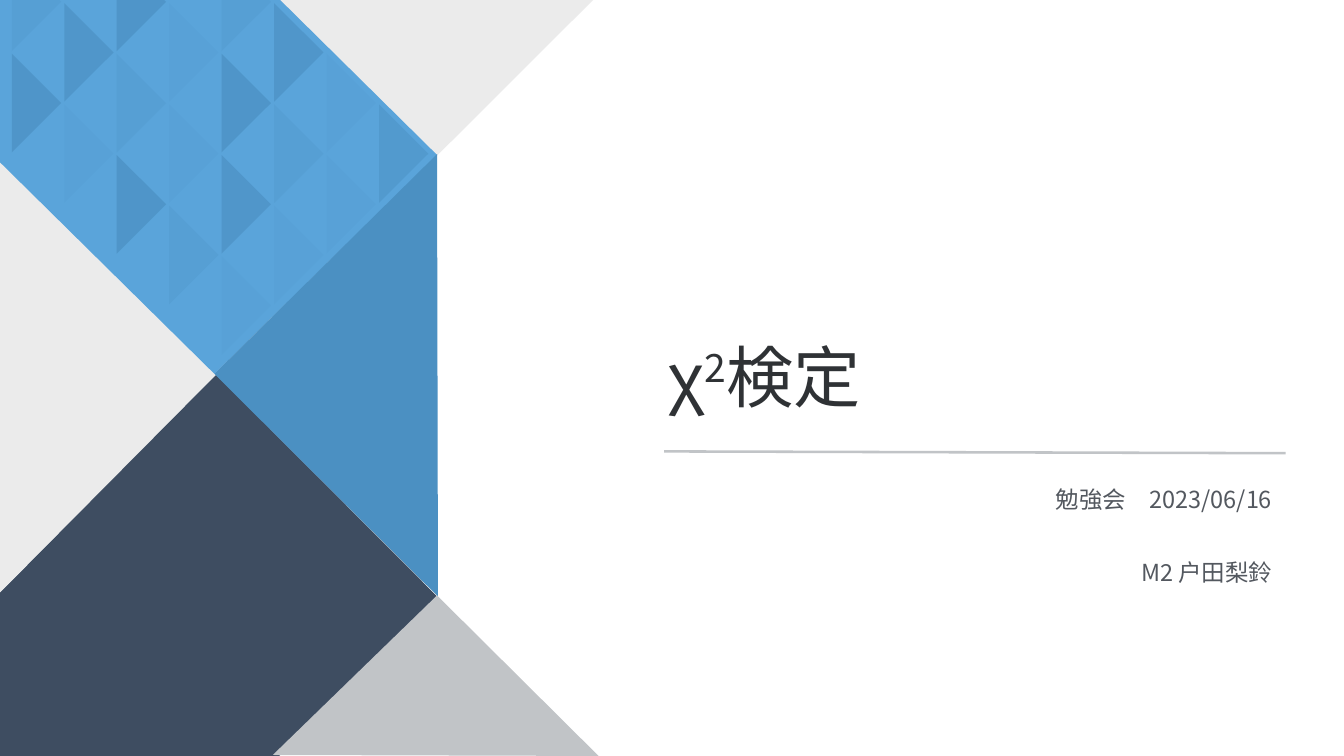
from pptx import Presentation
from pptx.dml.color import RGBColor
from pptx.enum.shapes import MSO_CONNECTOR
from pptx.enum.text import MSO_ANCHOR, MSO_AUTO_SIZE, PP_ALIGN
from pptx.oxml.ns import qn
from pptx.util import Inches, Pt
from lxml import etree

STRAIGHT = MSO_CONNECTOR.STRAIGHT
MIDDLE = MSO_ANCHOR.MIDDLE
GROW, FIXED = MSO_AUTO_SIZE.SHAPE_TO_FIT_TEXT, MSO_AUTO_SIZE.NONE
LEFT, RIGHT = PP_ALIGN.LEFT, PP_ALIGN.RIGHT
FONT = "Noto Sans CJK JP"
COLORS = {
    "pale": "EBEBEB", "sky": "5AA4DA", "navy": "3E4D61", "blue": "4B90C2",
    "silver": "C1C4C7", "title": "2F3235", "subtitle": "53585F",
}

presentation = Presentation()
presentation.slide_width = Inches(14.73)
presentation.slide_height = Inches(8.29)
slide = presentation.slides.add_slide(presentation.slide_layouts[6])


def add_polygon(points, color, opacity=100):
    corners = [(Inches(x), Inches(y)) for x, y in points]
    builder = slide.shapes.build_freeform(*corners[0], scale=1.0)
    builder.add_line_segments(corners[1:], close=True)
    shape = builder.convert_to_shape()
    shape.shadow.inherit = False
    shape.line.fill.background()
    shape.fill.solid()
    shape.fill.fore_color.rgb = RGBColor.from_string(COLORS[color])
    if opacity < 100:
        fill_color = shape.fill._xPr.find(qn("a:solidFill"))[0]
        etree.SubElement(fill_color, qn("a:alpha")).set("val", str(opacity * 1000))


def add_text(box, runs, size, color, frame_format, paragraph_format):
    text_frame = slide.shapes.add_textbox(*map(Inches, box)).text_frame
    for name, value in frame_format.items():
        setattr(text_frame, name, value)
    paragraph = text_frame.paragraphs[0]
    for name, value in paragraph_format.items():
        setattr(paragraph, name, value)
    for lines, baseline in runs:
        for number, line in enumerate(lines):
            if number:
                paragraph.add_line_break()
            run = paragraph.add_run()
            run.text = line
            for name, value in {"size": Pt(size), "name": FONT}.items():
                setattr(run.font, name, value)
            run.font.color.rgb = RGBColor.from_string(COLORS[color])
            properties = run._r.get_or_add_rPr()
            etree.SubElement(properties, qn("a:ea")).set("typeface", FONT)
            if baseline:
                properties.set("baseline", str(baseline * 1000))
    for line_break in paragraph._p.findall(qn("a:br")):
        properties = etree.SubElement(line_break, qn("a:rPr"))
        properties.set("sz", str(round(size * 100)))
        properties.set("baseline", str(runs[0][1] * 1000))


background_polygons = [
    ("pale", [(0, 6.49), (6.5, 0), (0, 0)]),
    ("sky", [(3.07, 0), (4.79, 1.7), (2.35, 4.1), (0, 1.78), (0, 0)]),
    ("navy", [(0, 6.5), (2.37, 4.11), (4.82, 6.57), (3.06, 8.29), (0, 8.29)]),
    ("blue", [(4.79, 1.69), (4.8, 6.54), (2.35, 4.1)]),
    ("silver", [(4.79, 6.53), (6.56, 8.29), (2.99, 8.28)]),
]
for color, points in background_polygons:
    add_polygon(points, color)

COLUMN_STEP, ROW_STEP, HALF = 0.575, 0.555, 0.54
triangle_columns = [
    (0, [24, 70]), (1, [65, 11]), (0, [70, 24, 70]), (1, [11, 11, 24]),
    (0, [24, 70, 65, 11]), (1, [65, 24, 11]), (2, [11, 11]), (3, [47]),
]
for column, (first_row, opacities) in enumerate(triangle_columns):
    x = 0.13 + column * COLUMN_STEP
    for index, opacity in enumerate(opacities):
        y = 0.02 + (first_row + 2 * index) * ROW_STEP
        add_polygon([(x, y + HALF), (x + HALF, y), (x, y - HALF)], "blue", opacity)

title_margins = dict.fromkeys(
    ["margin_left", "margin_right", "margin_top", "margin_bottom"], Inches(0.06))
subtitle_margins = dict.fromkeys(title_margins, Inches(0.03))
shared_frame = {"word_wrap": True, "vertical_anchor": MIDDLE}

add_text((7.27, 3.01, 6.82, 2.34), [(["χ"], 0), (["2"], 30), (["検定"], 0)], 53, "title",
         {**shared_frame, **title_margins, "auto_size": FIXED},
         {"alignment": LEFT, "line_spacing": 0.9})

divider = slide.shapes.add_connector(
    STRAIGHT, Inches(7.28), Inches(4.95), Inches(14.09), Inches(4.97))
divider.line.color.rgb = RGBColor.from_string(COLORS["silver"])
divider.line.width = Pt(2)
etree.SubElement(divider._element.spPr, qn("a:effectLst"))

add_text((7.37, 5.28, 6.6, 1.14), [(["勉強会\u30002023/06/16", "M2 戸田梨鈴"], 43)], 31.8, "subtitle",
         {**shared_frame, **subtitle_margins, "auto_size": GROW},
         {"alignment": RIGHT, "line_spacing": 1.5})

presentation.save("out.pptx")
